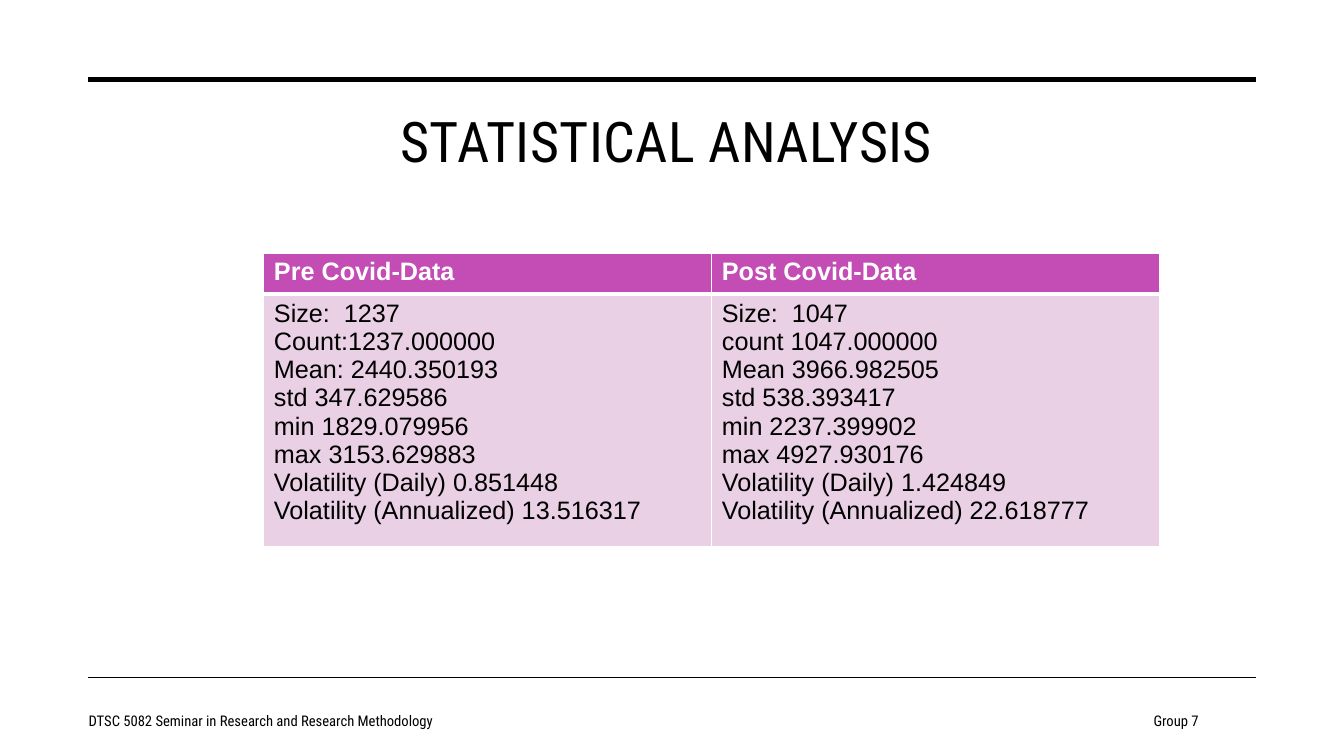
from lxml.etree import SubElement
from pptx import Presentation
from pptx.dml.color import RGBColor
from pptx.enum.shapes import MSO_CONNECTOR
from pptx.enum.text import MSO_ANCHOR, PP_ALIGN
from pptx.oxml.ns import qn
from pptx.util import Pt

HEADINGS = ["Pre Covid-Data", "Post Covid-Data"]
STATISTICS = [
    [
        "Size:  1237",
        "Count:1237.000000",
        "Mean: 2440.350193",
        "std 347.629586",
        "min 1829.079956",
        "max 3153.629883",
        "Volatility (Daily) 0.851448",
        "Volatility (Annualized) 13.516317",
    ],
    [
        "Size:  1047",
        "count 1047.000000",
        "Mean 3966.982505",
        "std 538.393417",
        "min 2237.399902",
        "max 4927.930176",
        "Volatility (Daily) 1.424849",
        "Volatility (Annualized) 22.618777",
    ],
]


def color(value):
    return RGBColor.from_string(value)


def style_text(frame, font, size, fill, align, bold=False):
    for para in frame.paragraphs:
        para.alignment = align
        for span in para.runs:
            span.font.name = font
            span.font.size = Pt(size)
            span.font.bold = bold
            span.font.color.rgb = color(fill)


def add_rule(page, top, width):
    rule = page.shapes.add_connector(
        MSO_CONNECTOR.STRAIGHT, Pt(63), Pt(top), Pt(897), Pt(top)
    )
    rule.line.color.rgb = color("000000")
    rule.line.width = Pt(width)
    SubElement(rule.element.spPr, qn("a:effectLst"))


def add_label(page, text, left, top, width, height, size, align, anchor):
    box = page.shapes.add_textbox(Pt(left), Pt(top), Pt(width), Pt(height))
    frame = box.text_frame
    frame.word_wrap = True
    frame.vertical_anchor = anchor
    frame.text = text
    style_text(frame, "Roboto Condensed", size, "000000", align)
    return box


def add_border(cell, side, width):
    properties = cell._tc.get_or_add_tcPr()
    border = SubElement(properties, qn(f"a:{side}"), w=str(Pt(width)))
    fill = SubElement(border, qn("a:solidFill"))
    SubElement(fill, qn("a:srgbClr"), val="FFFFFF")


def fill_cell(cell, text, fill, text_color, bold, top, bottom):
    for side, width in (("lnL", 1), ("lnR", 1), ("lnT", top), ("lnB", bottom)):
        add_border(cell, side, width)
    cell.fill.solid()
    cell.fill.fore_color.rgb = color(fill)
    cell.text_frame.text = text
    style_text(cell.text_frame, "Arial", 18, text_color, PP_ALIGN.LEFT, bold)


def add_statistics(page):
    frame = page.shapes.add_table(2, 2, Pt(188.5), Pt(180.7), Pt(640), Pt(197.5))
    table = frame.table
    table.rows[0].height = Pt(29.5)
    table.rows[1].height = Pt(168)
    for column, (heading, lines) in enumerate(zip(HEADINGS, STATISTICS)):
        table.columns[column].width = Pt(320)
        fill_cell(table.cell(0, column), heading, "C34DB4", "FFFFFF", True, 1, 3)
        fill_cell(
            table.cell(1, column), "\n".join(lines), "E9D0E5", "000000", False, 3, 1
        )


def main():
    deck = Presentation()
    deck.slide_width = Pt(960)
    deck.slide_height = Pt(540)
    page = deck.slides.add_slide(deck.slide_layouts[6])
    add_rule(page, 57, 3.5)
    add_rule(page, 484, 1)
    title = add_label(
        page, "STATISTICAL ANALYSIS", 55.5, 72.7, 841.5, 108, 40,
        PP_ALIGN.CENTER, MSO_ANCHOR.TOP,
    )
    title.text_frame.paragraphs[0].runs[0].font._element.set("spc", "30")
    add_label(
        page, "DTSC 5082 Seminar in Research and Research Methodology",
        56.2, 500.4, 357, 29, 10.5, PP_ALIGN.LEFT, MSO_ANCHOR.MIDDLE,
    )
    add_label(
        page, "Group 7", 658.8, 500.4, 204.5, 29, 10.5,
        PP_ALIGN.RIGHT, MSO_ANCHOR.MIDDLE,
    )
    add_statistics(page)
    deck.save("out.pptx")


if __name__ == "__main__":
    main()
